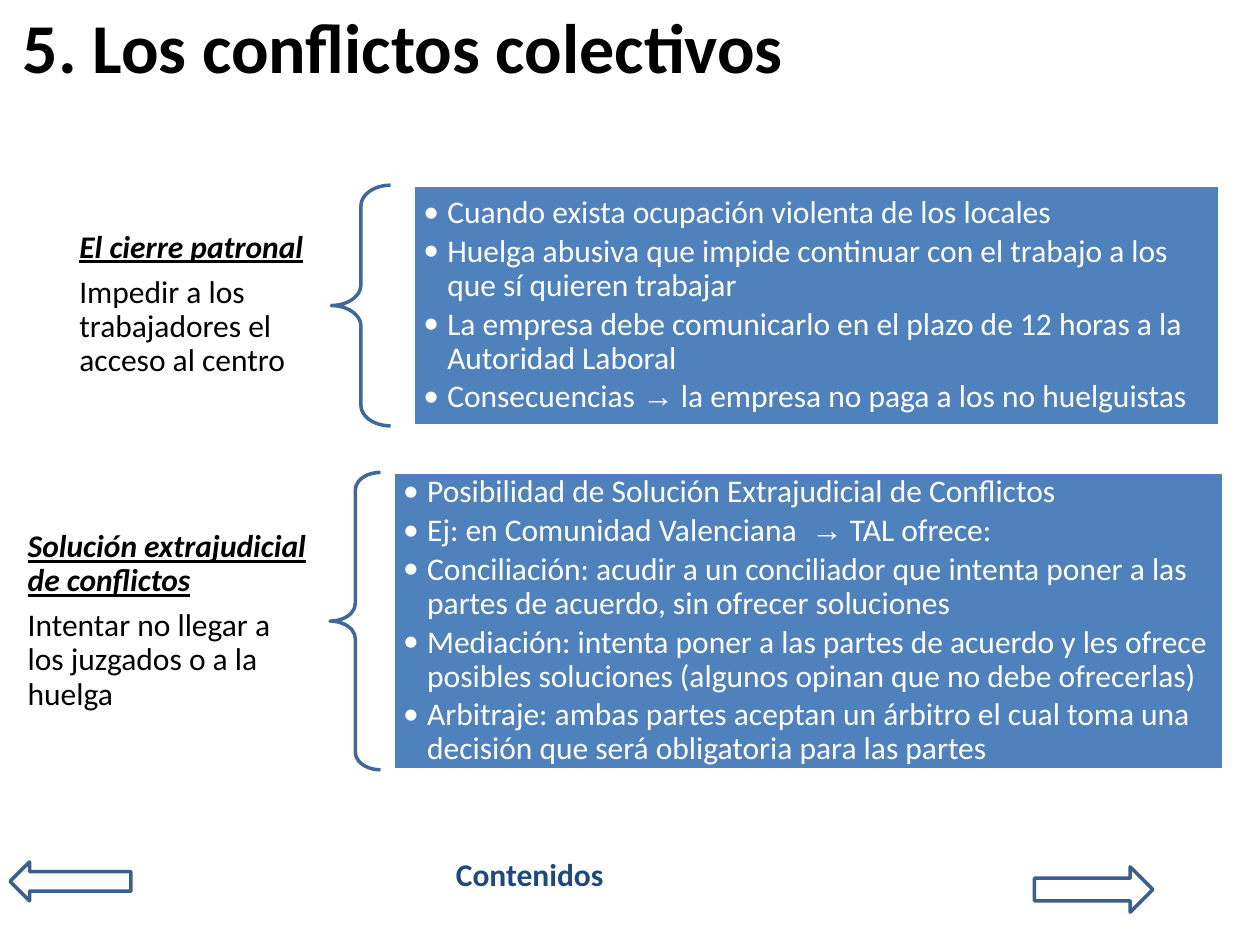
from lxml import etree
from pptx import Presentation
from pptx import util as u
from pptx.dml.color import RGBColor
from pptx.enum import shapes, text
from pptx.oxml.ns import qn

BLACK = RGBColor(0x00, 0x00, 0x00)
WHITE = RGBColor(0xFF, 0xFF, 0xFF)
NAVY = RGBColor(0x1F, 0x49, 0x7D)
PANEL_BLUE = RGBColor(0x4F, 0x81, 0xBD)
BRACE_BLUE = RGBColor(0x3F, 0x67, 0x97)
ARROW_BLUE = RGBColor(0x3A, 0x5F, 0x8C)

COLUMNS, ROWS = 100, 75  # grid over the whole slide
ARROW_SIGN = "→"


def add_text(paragraph, content, size=18, color=BLACK, bold=False, italic=False,
             underline=False, align=None, line=None, after=None):
    """Write content into a paragraph; the arrow sign gets its own font."""
    paragraph.alignment = align
    if line:
        paragraph.line_spacing = line
    if after is not None:
        paragraph.space_before = u.Pt(0)
        paragraph.space_after = u.Pt(after)
    before, sign, rest = content.partition(ARROW_SIGN)
    for part in filter(None, (before, sign, rest)):
        run = paragraph.add_run()
        run.text = part
        font = run.font
        font.name = "Arial" if part == ARROW_SIGN else "Calibri"
        font.size = u.Pt(size)
        font.color.rgb = color
        font.bold, font.italic, font.underline = bold, italic, underline


def add_bullet(paragraph, color):
    paragraph.level = 1
    props = paragraph._p.get_or_add_pPr()
    props.set("marL", str(u.Inches(0.19)))
    props.set("indent", str(-u.Inches(0.19)))
    bullet_color = etree.SubElement(props, qn("a:buClr"))
    etree.SubElement(bullet_color, qn("a:srgbClr"), val=str(color))
    etree.SubElement(props, qn("a:buFont"), typeface="Calibri")
    etree.SubElement(props, qn("a:buChar"), char="•")


class ConflictSlide:
    def __init__(self, deck):
        self.slide = deck.slides.add_slide(deck.slide_layouts[5])
        self.column = deck.slide_width / COLUMNS
        self.row = deck.slide_height / ROWS

    def place(self, left, top, width, height):
        return (round(left * self.column), round(top * self.row),
                round(width * self.column), round(height * self.row))

    def frame(self, shape, inset_x=0.1, inset_y=0.05, anchor=text.MSO_ANCHOR.MIDDLE):
        frame = shape.text_frame
        frame.word_wrap = True
        frame.auto_size = text.MSO_AUTO_SIZE.NONE
        frame.vertical_anchor = anchor
        frame.margin_left = frame.margin_right = u.Inches(inset_x)
        frame.margin_top = frame.margin_bottom = u.Inches(inset_y)
        return frame

    def title(self, content, *box):
        heading = self.slide.shapes.title
        heading.left, heading.top, heading.width, heading.height = self.place(*box)
        add_text(self.frame(heading).paragraphs[0], content, size=40, bold=True,
                 align=text.PP_ALIGN.LEFT)

    def shape(self, kind, box, line, fill=None):
        shape = self.slide.shapes.add_shape(kind, *self.place(*box))
        shape.shadow.inherit = False
        if fill is None:
            shape.fill.background()
        else:
            shape.fill.solid()
            shape.fill.fore_color.rgb = fill
        shape.line.color.rgb = line
        shape.line.width = u.Pt(2)
        return shape

    def text_box(self, *box):
        return self.slide.shapes.add_textbox(*self.place(*box))

    def link(self, content, *box):
        frame = self.frame(self.text_box(*box), anchor=text.MSO_ANCHOR.TOP)
        add_text(frame.paragraphs[0], content, color=NAVY, bold=True)

    def arrow(self, kind, *box):
        self.shape(kind, box, ARROW_BLUE)

    def label(self, term, meaning, *box):
        frame = self.frame(self.text_box(*box), inset_x=0.14)
        add_text(frame.paragraphs[0], term, bold=True, italic=True, underline=True,
                 line=0.9, after=6.3)
        add_text(frame.add_paragraph(), meaning, line=0.9, after=6.3)

    def brace(self, *box):
        brace = self.shape(shapes.MSO_SHAPE.LEFT_BRACE, box, BRACE_BLUE)
        brace.adjustments[0] = 0.35

    def panel(self, points, *box):
        panel = self.shape(shapes.MSO_SHAPE.RECTANGLE, box, WHITE, PANEL_BLUE)
        frame = self.frame(panel, inset_x=0.08, inset_y=0.08)
        for number, point in enumerate(points):
            paragraph = frame.add_paragraph() if number else frame.paragraphs[0]
            add_text(paragraph, point, color=WHITE, align=text.PP_ALIGN.LEFT,
                     line=0.9, after=2.7)
            add_bullet(paragraph, WHITE)


def main():
    deck = Presentation()
    deck.slide_width, deck.slide_height = u.Inches(10), u.Inches(7.5)
    page = ConflictSlide(deck)
    page.title("5. Los conflictos colectivos", 0.8, 0.5, 99.2, 6.3)

    # Navigation
    page.link("Contenidos", 35.2, 67.4, 14.4, 7)
    page.arrow(shapes.MSO_SHAPE.LEFT_ARROW, 0.8, 68.4, 9.6, 3.1)
    page.arrow(shapes.MSO_SHAPE.RIGHT_ARROW, 82.1, 68.8, 9.4, 3.6)

    # Lockout
    top, height = 14.7, 19.1
    page.label("El cierre patronal", "Impedir a los trabajadores el acceso al centro",
               4.9, 17.7, 21.3, 13)
    page.brace(26.3, top, 4.7, height)
    page.panel([
        "Cuando exista ocupación violenta de los locales",
        "Huelga abusiva que impide continuar con el trabajo a los que sí quieren trabajar",
        "La empresa debe comunicarlo en el plazo de 12 horas a la Autoridad Laboral",
        "Consecuencias → la empresa no paga a los no huelguistas",
    ], 32.8, top, 64, height)

    # Out-of-court settlement
    top, height = 37.5, 23.6
    page.label("Solución extrajudicial de conflictos",
               "Intentar no llegar a los juzgados o a la huelga",
               0.8, 42.2, 25.4, 14.2)
    page.brace(26.2, top, 4, height)
    page.panel([
        "Posibilidad de Solución Extrajudicial de Conflictos",
        "Ej: en Comunidad Valenciana  → TAL ofrece:",
        "Conciliación: acudir a un conciliador que intenta poner a las partes de acuerdo, "
        "sin ofrecer soluciones",
        "Mediación: intenta poner a las partes de acuerdo y les ofrece posibles soluciones "
        "(algunos opinan que no debe ofrecerlas)",
        "Arbitraje: ambas partes aceptan un árbitro el cual toma una decisión que será "
        "obligatoria para las partes",
    ], 31.2, top, 65.9, height)

    deck.save("out.pptx")


if __name__ == "__main__":
    main()
